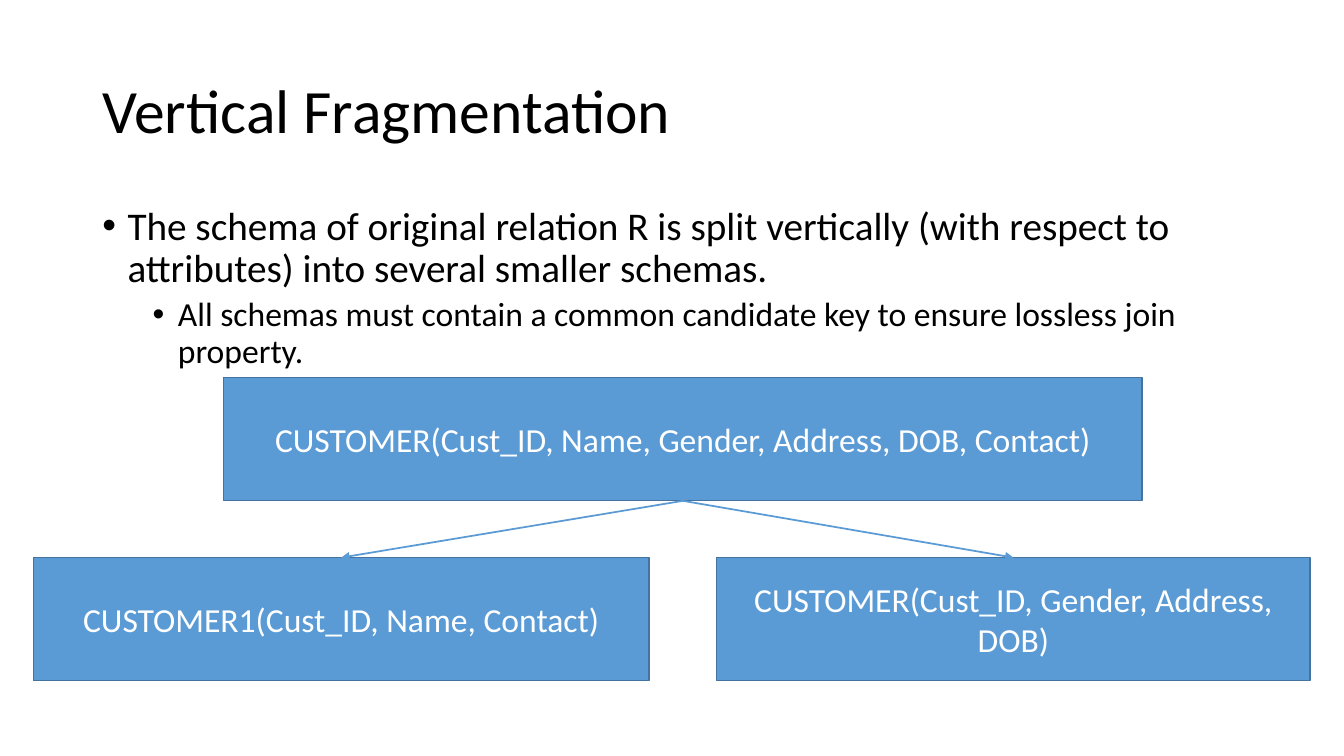
from lxml.etree import SubElement
from pptx import Presentation
from pptx.dml.color import RGBColor
from pptx.enum.shapes import MSO_CONNECTOR, MSO_SHAPE
from pptx.enum.text import MSO_ANCHOR, PP_ALIGN
from pptx.oxml.ns import qn
from pptx.util import Cm, Pt


def color(value):
    return RGBColor.from_string(value)


def style(para, size, value):
    para.font.size = Pt(size)
    para.font.name = "Calibri"
    para.font.color.rgb = color(value)


deck = Presentation()
deck.slide_width = Cm(33.87)
deck.slide_height = Cm(19.05)
page = deck.slides.add_slide(deck.slide_layouts[6])

title = page.shapes.add_textbox(Cm(2.33), Cm(1.01), Cm(29.21), Cm(3.68))
title.text_frame.word_wrap = True
title.text_frame.vertical_anchor = MSO_ANCHOR.MIDDLE
title.text_frame.text = "Vertical Fragmentation"
title.text_frame.paragraphs[0].line_spacing = 0.9
style(title.text_frame.paragraphs[0], 44, "000000")

body = page.shapes.add_textbox(Cm(2.33), Cm(5.07), Cm(29.21), Cm(12.08))
body.text_frame.word_wrap = True
body.text_frame.text = (
    "The schema of original relation R is split vertically (with respect to attributes) "
    "into several smaller schemas.\n"
    "All schemas must contain a common candidate key to ensure lossless join property."
)
for level, para in enumerate(body.text_frame.paragraphs):
    para.level = level
    para.line_spacing = 0.9
    para.space_before = Pt(5 * level)
    properties = para._p.get_or_add_pPr()
    properties.set("marL", str(Cm(0.635 + 1.27 * level)))
    properties.set("indent", str(-Cm(0.635)))
    SubElement(properties, qn("a:buFont"), typeface="Arial")
    SubElement(properties, qn("a:buChar"), char="•")
    style(para, 28 - 4 * level, "000000")

relations = [
    (5.64, 9.52, 23.14, "CUSTOMER(Cust_ID, Name, Gender, Address, DOB, Contact)"),
    (0.84, 14.05, 15.52, "CUSTOMER1(Cust_ID, Name, Contact)"),
    (18.06, 14.05, 14.96, "CUSTOMER(Cust_ID, Gender, Address, DOB)"),
]
boxes = []
for left, top, width, schema in relations:
    box = page.shapes.add_shape(MSO_SHAPE.RECTANGLE, Cm(left), Cm(top), Cm(width), Cm(3.1))
    box.shadow.inherit = False
    box.fill.solid()
    box.fill.fore_color.rgb = color("5B9BD5")
    box.line.color.rgb = color("43739E")
    box.line.width = Pt(1)
    box.text_frame.word_wrap = True
    box.text_frame.vertical_anchor = MSO_ANCHOR.MIDDLE
    box.text_frame.text = schema
    para = box.text_frame.paragraphs[0]
    para.alignment = PP_ALIGN.CENTER
    style(para, 24, "FFFFFF")
    boxes.append(box)

source, *fragments = boxes
for fragment in fragments:
    arrow = page.shapes.add_connector(MSO_CONNECTOR.STRAIGHT, 0, 0, 0, 0)
    arrow.begin_connect(source, 2)
    arrow.end_connect(fragment, 0)
    arrow.line.color.rgb = color("5B9BD5")
    arrow.line.width = Pt(1.25)
    SubElement(arrow.line._get_or_add_ln(), qn("a:tailEnd"), type="triangle")
    SubElement(arrow._element.spPr, qn("a:effectLst"))

deck.save("out.pptx")
